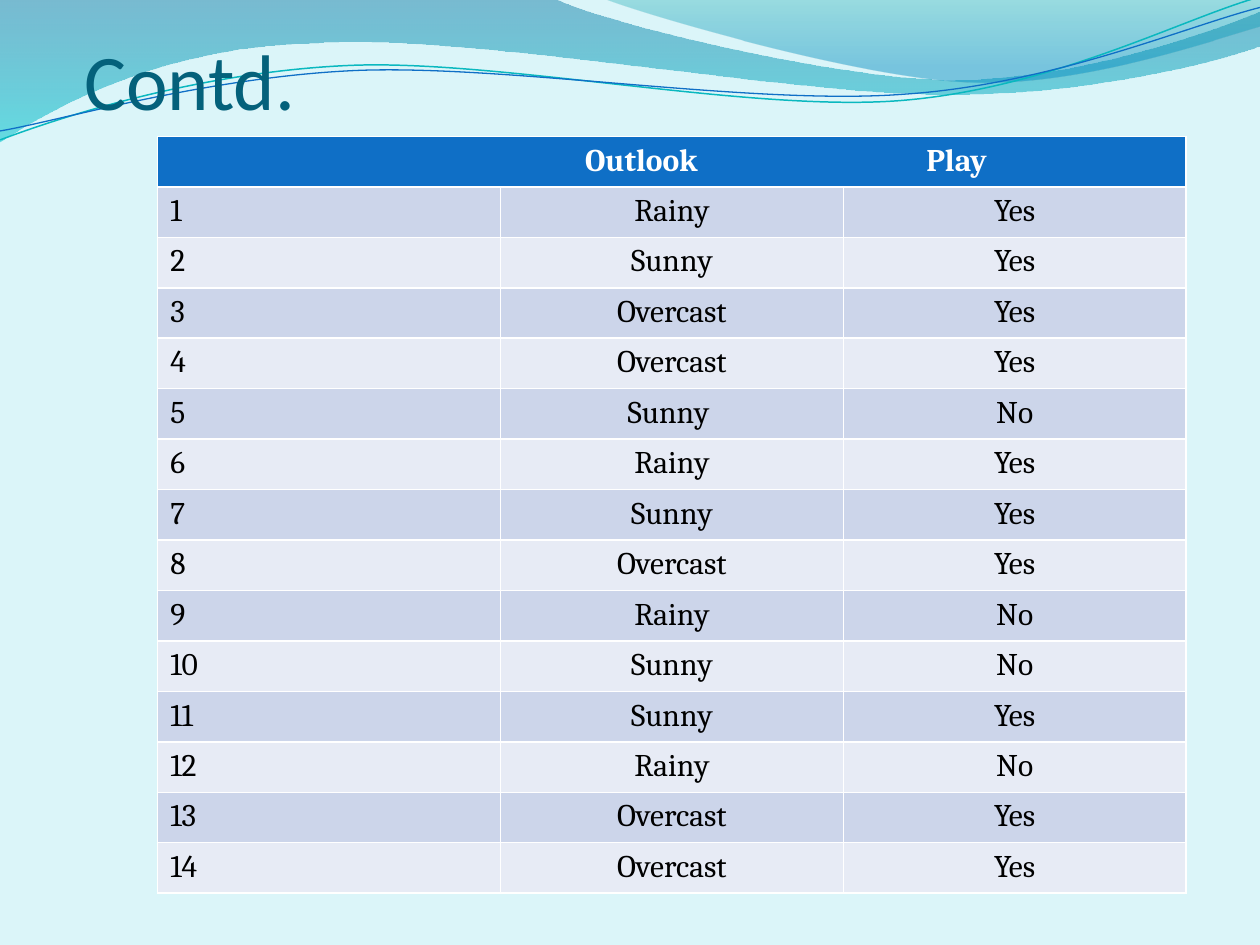
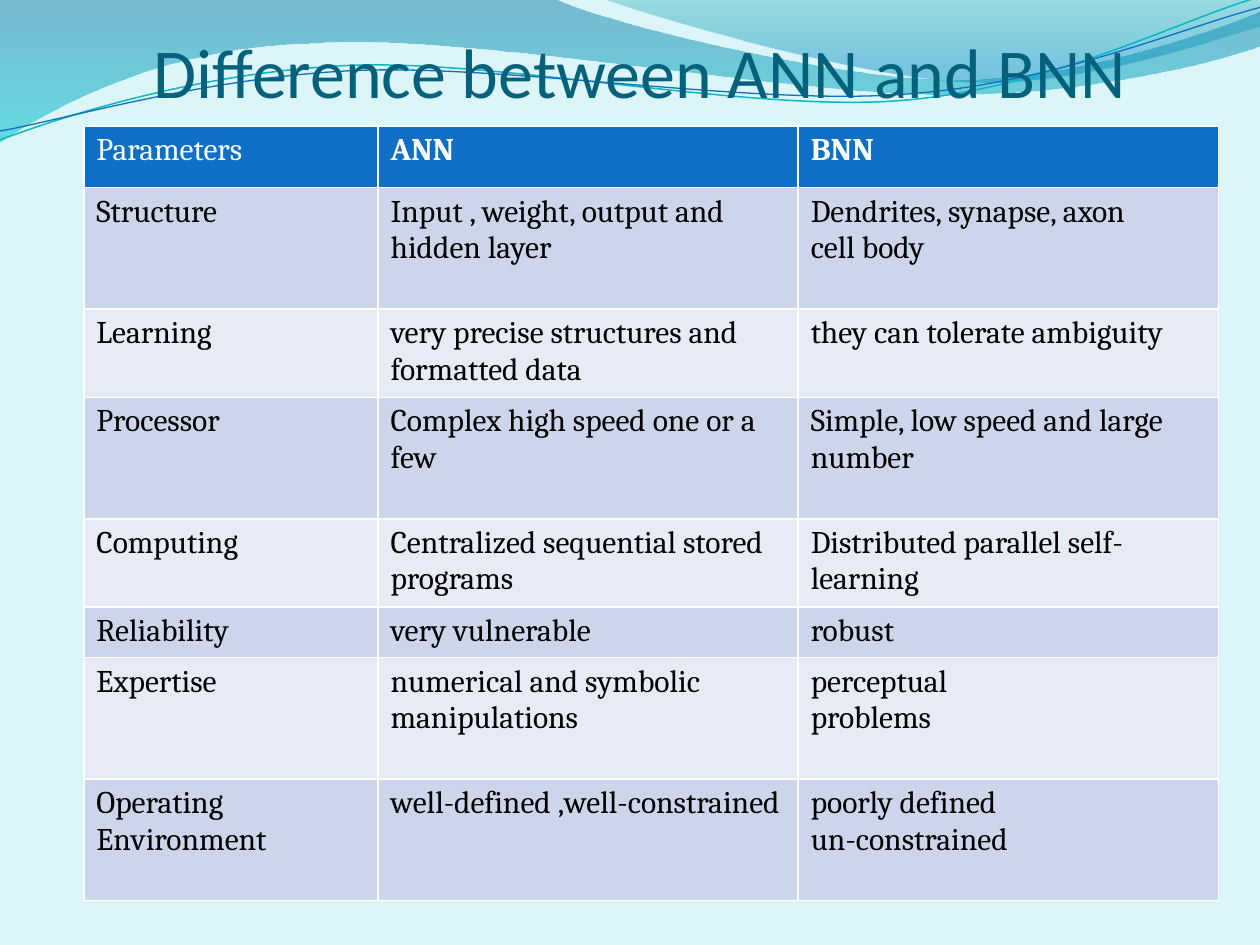
import math
from dataclasses import dataclass

from lxml import etree
from pptx import Presentation
from pptx import util as u
from pptx.dml import color
from pptx.enum import text
from pptx.oxml import ns


@dataclass(frozen=True)
class Theme:
    background: str = "DBF5F9"
    title: str = "04617B"
    header: str = "0F6FC6"
    bands: tuple = ("CCD5EA", "E7EBF5")
    white: str = "FFFFFF"
    black: str = "000000"
    title_font: str = "Calibri"
    body_font: str = "Cambria"
    body_size: int = 18


THEME = Theme()
LEFT, CENTER = text.PP_ALIGN.LEFT, text.PP_ALIGN.CENTER
LINE_TILT = 2.7
LINE_PIVOT = (12.68, 1.48)

# Outlines in cm: a start point, then line ends (x, y) or Bezier curves
# (control 1, control 2, end). Gradient stops: position, colour, opacity %.
WAVE_BANDS = [
    ([(0, 0), (11.18, -0.03),
      (12.09, 0.43, 16.87, 1.6, 19.25, 1.6),
      (21.67, 1.6, 24.33, 0.66, 25.4, 0.23),
      (25.43, 0.91),
      (24.97, 1.12, 22.1, 1.93, 18.95, 1.9),
      (15.8, 1.9, 9.7, 0.71, 6.53, 0.86),
      (3.28, 0.91, 1.17, 2.11, -0.03, 2.87)],
     [(0, "0074A1", 45), (1, "00C6CF", 55)]),
    ([(12.17, -0.03),
      (12.93, 0.28, 17.32, 1.57, 19.53, 1.65),
      (21.74, 1.75, 24.41, 0.81, 25.4, 0.53),
      (25.4, 0)],
     [(0, "00A1A9", 30), (0.8, "008BBF", 45)]),
]
WAVE_LINES = [
    ([(0, 2.82),
      (1.22, 2.36, 4.01, 1.45, 7.04, 1.32),
      (10.03, 1.19, 15.06, 2.26, 18.11, 2.03),
      (21.16, 1.8, 23.83, 0.38, 25.35, -0.05)], "0AB8BF", 0.85),
    ([(0, 2.64),
      (1.19, 2.44, 4.17, 1.55, 7.19, 1.42),
      (10.24, 1.3, 15.16, 2.13, 18.21, 1.9),
      (21.23, 1.7, 23.9, 0.53, 25.4, 0.15)], "0F6FC6", 0.75),
]

OUTLOOKS = ["Rainy", "Sunny", "Overcast", "Overcast", "Sunny ", "Rainy", "Sunny",
            "Overcast", "Rainy", "Sunny", "Sunny", "Rainy", "Overcast", "Overcast"]
NO_PLAY_DAYS = {5, 9, 10, 12}

COMPARISON = [
    ("Parameters", "ANN", "BNN"),
    ("Structure", "Input , weight, output and\nhidden layer",
     "Dendrites, synapse, axon\ncell body"),
    ("Learning", "very precise structures and formatted data",
     "they can tolerate ambiguity"),
    ("Processor", "Complex high speed one or a few",
     "Simple, low speed and large number"),
    ("Computing", "Centralized sequential stored programs",
     "Distributed parallel self-learning"),
    ("Reliability", "very vulnerable", "robust"),
    ("Expertise", "numerical and symbolic\nmanipulations", "perceptual\nproblems"),
    ("Operating Environment", "well-defined ,well-constrained",
     "poorly defined\nun-constrained"),
]


def rgb(value):
    return color.RGBColor.from_string(value)


def apply_format(target, values):
    for name, value in values.items():
        setattr(target, name, value)


def style_text(frame, font_name, size, colour, bold=False, align=LEFT):
    for paragraph in frame.paragraphs:
        paragraph.alignment = align
        for run in paragraph.runs:
            apply_format(run.font, {"name": font_name, "size": u.Pt(size), "bold": bold})
            run.font.color.rgb = rgb(colour)


def turn(point, degrees):
    """Turn a point clockwise about the pivot of the wave lines."""
    angle = math.radians(degrees)
    dx, dy = point[0] - LINE_PIVOT[0], point[1] - LINE_PIVOT[1]
    return (LINE_PIVOT[0] + dx * math.cos(angle) - dy * math.sin(angle),
            LINE_PIVOT[1] + dx * math.sin(angle) + dy * math.cos(angle))


def add_outline(slide, outline, close, tilt=0):
    """Draw an outline; a tilted one is stored level and turned back."""
    segments = []
    for numbers in outline:
        pairs = zip(numbers[::2], numbers[1::2])
        level = [turn(pair, tilt) if tilt else pair for pair in pairs]
        segments.append([(u.Cm(x), u.Cm(y)) for x, y in level])
    ends = [segment[-1] for segment in segments]
    builder = slide.shapes.build_freeform(*ends[0])
    builder.add_line_segments(ends[1:], close=close)
    shape = builder.convert_to_shape()
    lines = list(shape.element.spPr.iter(ns.qn("a:lnTo")))
    for line, segment in zip(lines, segments[1:]):
        if len(segment) == 3:
            curve = etree.Element(ns.qn("a:cubicBezTo"))
            for x, y in segment:
                etree.SubElement(curve, ns.qn("a:pt"),
                                 x=str(x - shape.left), y=str(y - shape.top))
            line.getparent().replace(line, curve)
    shape.rotation = -tilt
    shape.shadow.inherit = False
    return shape


def add_wave_band(slide, outline, stops):
    shape = add_outline(slide, outline, close=True)
    shape.line.fill.background()
    shape.fill.gradient()
    shape.fill.gradient_angle = 270
    for stop, (position, colour, _) in zip(shape.fill.gradient_stops, stops):
        stop.position = position
        stop.color.rgb = rgb(colour)
    colours = shape.element.spPr.iter(ns.qn("a:srgbClr"))
    for element, (_, _, opacity) in zip(list(colours), stops):
        etree.SubElement(element, ns.qn("a:alpha"), val=str(opacity * 1000))


def add_wave_line(slide, outline, colour, width):
    shape = add_outline(slide, outline, close=False, tilt=LINE_TILT)
    shape.fill.background()
    shape.line.color.rgb = rgb(colour)
    shape.line.width = u.Pt(width)


def add_title(slide, wording, left, top, height, size, align):
    box = slide.shapes.add_textbox(u.Cm(left), u.Cm(top), u.Cm(22.86), u.Cm(height))
    frame = box.text_frame
    apply_format(frame, {
        "word_wrap": True, "vertical_anchor": text.MSO_ANCHOR.BOTTOM,
        "margin_left": 0, "margin_right": 0, "margin_top": u.Cm(0.13),
        "margin_bottom": 0, "text": wording})
    style_text(frame, THEME.title_font, size, THEME.title, align=align)


def add_table(slide, rows, left, top, widths, heights, aligns, header_bold):
    """Add a table with a header row; its white rules come from the table style."""
    frame = slide.shapes.add_table(
        len(rows), len(widths), u.Cm(left), u.Cm(top),
        u.Cm(sum(widths)), u.Cm(sum(heights)))
    table = frame.table
    for column, width in zip(table.columns, widths):
        column.width = u.Cm(width)
    for r, (row, height) in enumerate(zip(rows, heights)):
        table.rows[r].height = u.Cm(height)
        header = r == 0
        for c, wording in enumerate(row):
            cell = table.cell(r, c)
            cell.fill.solid()
            cell.fill.fore_color.rgb = rgb(
                THEME.header if header else THEME.bands[(r - 1) % 2])
            cell.text_frame.text = wording
            style_text(cell.text_frame, THEME.body_font, THEME.body_size,
                       THEME.white if header else THEME.black,
                       bold=header and header_bold[c],
                       align=LEFT if header else aligns[c])
    return table


def add_tab_stops(paragraph, positions):
    tabs = etree.SubElement(paragraph._p.get_or_add_pPr(), ns.qn("a:tabLst"))
    for position in positions:
        etree.SubElement(tabs, ns.qn("a:tab"), pos=str(u.Cm(position)), algn="l")


def add_wave_slide(presentation):
    slide = presentation.slides.add_slide(presentation.slide_layouts[6])
    for band in WAVE_BANDS:
        add_wave_band(slide, *band)
    for line in WAVE_LINES:
        add_wave_line(slide, *line)
    return slide


def build_outlook_slide(presentation):
    slide = add_wave_slide(presentation)
    add_title(slide, "Contd.", 1.7, 0.64, 1.9, 45, LEFT)
    rows = [("\tOutlook\tPlay", "", "")]
    for day, outlook in enumerate(OUTLOOKS, start=1):
        rows.append((str(day), outlook, "No" if day in NO_PLAY_DAYS else "Yes"))
    table = add_table(slide, rows, 3.18, 2.75, [6.91] * 3, [0.94] * len(rows),
                      (LEFT, CENTER, CENTER), (True,) * 3)
    heading = table.cell(0, 0)
    heading.merge(table.cell(0, 2))
    add_tab_stops(heading.text_frame.paragraphs[0], (8.36, 15.24))


def build_comparison_slide(presentation):
    slide = add_wave_slide(presentation)
    add_title(slide, "Difference between ANN and BNN", 1.47, 0.42, 1.85, 40, CENTER)
    one_line, two_lines, three_lines = 0.94, 1.65, 2.45
    heights = [1.24, three_lines, two_lines, three_lines, two_lines, one_line,
               three_lines, three_lines]
    add_table(slide, COMPARISON, 1.69, 2.54, [5.93, 8.47, 8.47], heights,
              (LEFT,) * 3, (False, True, True))


def main():
    presentation = Presentation()
    apply_format(presentation, {"slide_width": u.Cm(25.4), "slide_height": u.Cm(19.05)})
    background = presentation.slide_master.background.fill
    background.solid()
    background.fore_color.rgb = rgb(THEME.background)
    build_outlook_slide(presentation)
    build_comparison_slide(presentation)
    presentation.save("out.pptx")


if __name__ == "__main__":
    main()
